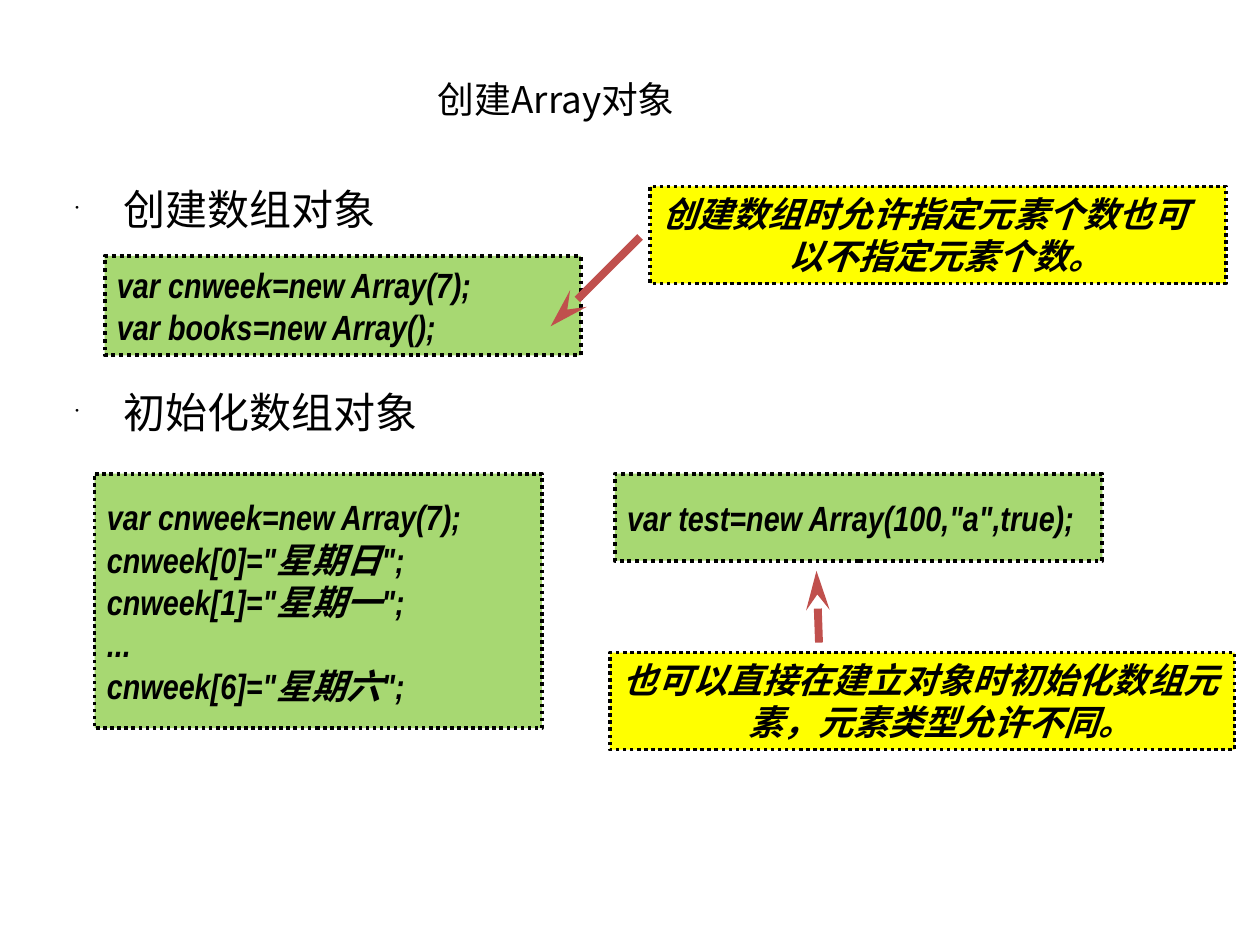
from dataclasses import dataclass

import pptx
import pptx.dml.color
import pptx.enum.dml
import pptx.enum.shapes
import pptx.enum.text
import pptx.oxml
import pptx.oxml.ns
import pptx.util
from pptx.util import Inches

COLORS = {"text": "000000", "code": "A7D872", "note": "FFFF00", "arrow": "C0504D"}
HEADING_FONT = "Noto Sans CJK SC"
BOX_FONT = "Arial Narrow"
HANG = 1.0
BULLET_INDENT = 0.38

ANCHOR = pptx.enum.text.MSO_ANCHOR
ALIGN = pptx.enum.text.PP_ALIGN


@dataclass
class Panel:
    left: float
    top: float
    width: float
    height: float
    kind: str
    border: float
    lines: list[str]


@dataclass
class Arrow:
    start: tuple[float, float]
    end: tuple[float, float]


PANELS = [
    Panel(0.83, 2.03, 3.78, 0.79, "code", 2.25,
          ["var cnweek=new Array(7);", "var books=new Array();"]),
    Panel(5.16, 1.48, 4.57, 0.77, "note", 2,
          ["创建数组时允许指定元素个数也可以不指定元素个数。"]),
    Panel(4.84, 5.18, 4.96, 0.77, "note", 2,
          ["也可以直接在建立对象时初始化数组元素，元素类型允许不同。"]),
    Panel(0.75, 3.76, 3.55, 2.02, "code", 2,
          ["var cnweek=new Array(7);", 'cnweek[0]="星期日";',
           'cnweek[1]="星期一";', "...", 'cnweek[6]="星期六";']),
    Panel(4.88, 3.76, 3.87, 0.69, "code", 2.25,
          ['var test=new Array(100,"a",true);']),
]
ARROWS = [Arrow((5.08, 1.88), (4.37, 2.59)), Arrow((6.5, 5.1), (6.48, 4.53))]


def rgb(name: str) -> pptx.dml.color.RGBColor:
    return pptx.dml.color.RGBColor.from_string(COLORS[name])


def add_xml(parent, tag: str, **attributes: str) -> None:
    element = pptx.oxml.parse_xml(f"<a:{tag} {pptx.oxml.ns.nsdecls('a')}/>")
    for key, value in attributes.items():
        element.set(key, value)
    parent.append(element)


def write(paragraph, text: str, font_name: str, size: float, **styles: bool) -> None:
    run = paragraph.add_run()
    run.text = text
    formats = {"name": font_name, "size": pptx.util.Pt(size), **styles}
    for attribute, value in formats.items():
        setattr(run.font, attribute, value)
    run.font.color.rgb = rgb("text")
    # East Asian glyphs use the same named font
    add_xml(run.font._element, "ea", typeface=font_name)


def paragraphs(frame, lines: list[str]):
    for index, line in enumerate(lines):
        yield (frame.add_paragraph() if index else frame.paragraphs[0]), line


def indent(paragraph, hang: float):
    properties = paragraph._p.get_or_add_pPr()
    properties.set("marL", str(Inches(hang)))
    properties.set("indent", str(-Inches(hang)))
    return properties


def add_title(slide, text: str) -> None:
    frame = slide.shapes.add_textbox(
        Inches(0.94), Inches(0.55), Inches(6.95), Inches(0.47)).text_frame
    frame.word_wrap = True
    frame.vertical_anchor = ANCHOR.MIDDLE
    frame.paragraphs[0].alignment = ALIGN.CENTER
    write(frame.paragraphs[0], text, HEADING_FONT, 21)


def add_topics(slide, topics: list[str], gap: float) -> None:
    frame = slide.shapes.add_textbox(
        Inches(0.5), Inches(1.41), Inches(8.36), Inches(5.42)).text_frame
    frame.word_wrap = True
    for index, (paragraph, topic) in enumerate(paragraphs(frame, topics)):
        properties = indent(paragraph, BULLET_INDENT)
        add_xml(properties, "buSzPct", val="25000")
        add_xml(properties, "buChar", char="•")
        if index:
            paragraph.space_before = pptx.util.Pt(gap)
        write(paragraph, topic, HEADING_FONT, 24)


def add_panel(slide, panel: Panel) -> None:
    box = slide.shapes.add_shape(
        pptx.enum.shapes.MSO_SHAPE.RECTANGLE, Inches(panel.left), Inches(panel.top),
        Inches(panel.width), Inches(panel.height))
    box.shadow.inherit = False
    box.fill.solid()
    box.fill.fore_color.rgb = rgb(panel.kind)
    box.line.color.rgb = rgb("text")
    box.line.width = pptx.util.Pt(panel.border)
    box.line.dash_style = pptx.enum.dml.MSO_LINE.ROUND_DOT
    frame = box.text_frame
    frame.word_wrap = True
    frame.vertical_anchor = ANCHOR.MIDDLE if panel.kind == "code" else ANCHOR.TOP
    for paragraph, line in paragraphs(frame, panel.lines):
        indent(paragraph, HANG)
        paragraph.alignment = ALIGN.LEFT
        write(paragraph, line, BOX_FONT, 20, bold=True, italic=True)


def add_arrow(slide, arrow: Arrow) -> None:
    pointer = slide.shapes.add_connector(
        pptx.enum.shapes.MSO_CONNECTOR.STRAIGHT,
        *(Inches(value) for value in arrow.start + arrow.end))
    pointer.line.color.rgb = rgb("arrow")
    pointer.line.width = pptx.util.Pt(4.5)
    add_xml(pointer.line._get_or_add_ln(), "tailEnd", type="stealth", w="med", len="lg")
    add_xml(pointer._element.spPr, "effectLst")


def main() -> None:
    deck = pptx.Presentation()
    deck.slide_width, deck.slide_height = Inches(10), Inches(7.5)
    slide = deck.slides.add_slide(deck.slide_layouts[6])

    # Headings
    add_title(slide, "创建Array对象")
    add_topics(slide, ["创建数组对象", "初始化数组对象"], gap=87)

    # Code samples and their notes
    for panel in PANELS:
        add_panel(slide, panel)

    # Pointers from notes to code
    for arrow in ARROWS:
        add_arrow(slide, arrow)

    deck.save("out.pptx")


if __name__ == "__main__":
    main()
